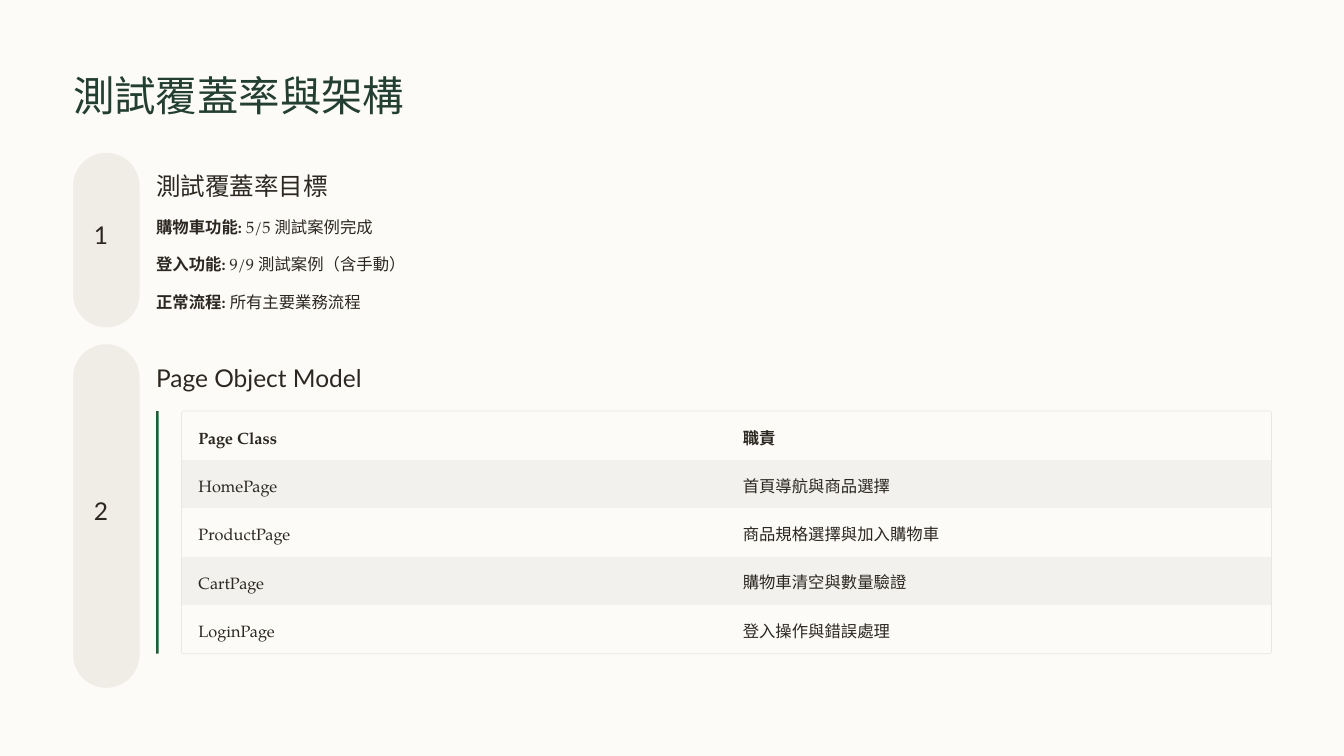
from dataclasses import dataclass

from pptx import Presentation
from pptx.dml.color import RGBColor
from pptx.enum.shapes import MSO_SHAPE
from pptx.enum.text import MSO_ANCHOR, MSO_AUTO_SIZE, PP_ALIGN
from pptx.shapes.autoshape import Shape
from pptx.slide import Slide
from pptx.text.text import TextFrame, _Paragraph
from pptx.util import Cm, Pt

RECTANGLE, ROUNDED = MSO_SHAPE.RECTANGLE, MSO_SHAPE.ROUNDED_RECTANGLE
TOP, LEFT, NO_AUTOFIT = MSO_ANCHOR.TOP, PP_ALIGN.LEFT, MSO_AUTO_SIZE.NONE
TITLE_ONLY = 5
NO_STYLE_NO_GRID = "{2D5ABB26-0587-4C30-8999-92F81FD0307C}"


@dataclass(frozen=True)
class TextStyle:
    font: str
    size: float
    line: float
    color: str


@dataclass(frozen=True)
class Theme:
    background: str = "FCFBF8"
    pill: str = "F0EDE6"
    accent: str = "1B5F39"
    stripe: str = "F2F1EE"
    frame: str = "E8E7E4"
    title: TextStyle = TextStyle("Lato", 35.5, 44.5, "233E32")
    heading: TextStyle = TextStyle("Lato", 21, 26.5, "2C2821")
    number: TextStyle = TextStyle("Lato", 21, 21, "2C2821")
    body: TextStyle = TextStyle("TeX Gyre Pagella", 14, 22.5, "2C2821")


@dataclass(frozen=True)
class Box:
    """Left, top, width and height in centimetres."""
    left: float
    top: float
    width: float
    height: float

    def emu(self) -> tuple[Cm, Cm, Cm, Cm]:
        return Cm(self.left), Cm(self.top), Cm(self.width), Cm(self.height)


@dataclass(frozen=True)
class Section:
    heading: str
    top: float
    height: float


@dataclass(frozen=True)
class Goal:
    label: str
    result: str


THEME = Theme()
PILL_LEFT, PILL_WIDTH = 2.21, 2.01
CONTENT_LEFT = 4.72
GOALS_TOP, GOAL_STEP = 6.38, 1.12
TABLE_LEFT, TABLE_TOP = 5.51, 12.45
COLUMN_WIDTH, ROW_HEIGHT = 16.46, 1.46
FRAME_GAP = 0.02

SECTIONS = [
    Section("測試覆蓋率目標", 4.62, 5.28),
    Section("Page Object Model", 10.41, 10.39),
]
GOALS = [
    Goal("購物車功能:", " 5/5 測試案例完成"),
    Goal("登入功能:", " 9/9 測試案例（含手動）"),
    Goal("正常流程:", " 所有主要業務流程"),
]
PAGE_CLASSES = [
    ("Page Class", "職責"),
    ("HomePage", "首頁導航與商品選擇"),
    ("ProductPage", "商品規格選擇與加入購物車"),
    ("CartPage", "購物車清空與數量驗證"),
    ("LoginPage", "登入操作與錯誤處理"),
]


def add_run(paragraph: _Paragraph, text: str, style: TextStyle, bold: bool = False) -> None:
    run = paragraph.add_run()
    run.text = text
    formats = {"name": style.font, "size": Pt(style.size), "bold": bold}
    for attribute, value in formats.items():
        setattr(run.font, attribute, value)
    run.font.color.rgb = RGBColor.from_string(style.color)


def first_line(frame: TextFrame, style: TextStyle) -> _Paragraph:
    """Prepare a margin-free frame and return its only paragraph."""
    formats = {
        "margin_left": 0, "margin_top": 0, "margin_right": 0, "margin_bottom": 0,
        "word_wrap": False, "auto_size": NO_AUTOFIT, "vertical_anchor": TOP,
    }
    for attribute, value in formats.items():
        setattr(frame, attribute, value)
    paragraph = frame.paragraphs[0]
    paragraph.alignment = LEFT
    paragraph.line_spacing = Pt(style.line)
    return paragraph


def add_line(slide: Slide, box: Box, style: TextStyle) -> _Paragraph:
    return first_line(slide.shapes.add_textbox(*box.emu()).text_frame, style)


def add_panel(slide: Slide, box: Box, color: str, preset: MSO_SHAPE = RECTANGLE) -> Shape:
    panel = slide.shapes.add_shape(preset, *box.emu())
    panel.shadow.inherit = False
    panel.fill.solid()
    panel.fill.fore_color.rgb = RGBColor.from_string(color)
    panel.line.fill.background()
    return panel


def add_title(slide: Slide, text: str) -> None:
    title = slide.shapes.title
    title.left, title.top, title.width, title.height = Box(PILL_LEFT, 2.06, 12.6, 1.57).emu()
    add_run(first_line(title.text_frame, THEME.title), text, THEME.title)


def add_section(slide: Slide, number: int, section: Section) -> None:
    pill_box = Box(PILL_LEFT, section.top, PILL_WIDTH, section.height)
    add_panel(slide, pill_box, THEME.pill, ROUNDED).adjustments[0] = 0.5
    number_height = 0.94
    number_top = section.top + (section.height - number_height) / 2
    number_box = Box(PILL_LEFT + 0.63, number_top, 0.76, number_height)
    add_run(add_line(slide, number_box, THEME.number), str(number), THEME.number)
    heading_box = Box(CONTENT_LEFT, section.top + 0.51, 7.57, 0.94)
    add_run(add_line(slide, heading_box, THEME.heading), section.heading, THEME.heading)


def add_goals(slide: Slide) -> None:
    for index, goal in enumerate(GOALS):
        box = Box(CONTENT_LEFT, GOALS_TOP + index * GOAL_STEP, 33.71, 0.81)
        paragraph = add_line(slide, box, THEME.body)
        add_run(paragraph, goal.label, THEME.body, bold=True)
        add_run(paragraph, goal.result, THEME.body)


def add_page_classes(slide: Slide) -> None:
    """Add the framed table with the accent bar on its left."""
    width, height = 2 * COLUMN_WIDTH, len(PAGE_CLASSES) * ROW_HEIGHT
    frame_top, frame_height = TABLE_TOP - FRAME_GAP, height + 2 * FRAME_GAP
    frame_box = Box(TABLE_LEFT - FRAME_GAP, frame_top, width + 2 * FRAME_GAP, frame_height)
    frame = add_panel(slide, frame_box, THEME.background, ROUNDED)
    frame.adjustments[0] = 0.01
    frame.line.color.rgb = RGBColor.from_string(THEME.frame)
    frame.line.width = Pt(0.6)
    add_panel(slide, Box(CONTENT_LEFT, frame_top, 0.08, frame_height), THEME.accent)

    table_box = Box(TABLE_LEFT, TABLE_TOP, width, height)
    table = slide.shapes.add_table(len(PAGE_CLASSES), 2, *table_box.emu()).table
    table.first_row = table.horz_banding = False
    table._tbl.tblPr[0].text = NO_STYLE_NO_GRID
    margins = {
        "margin_left": Cm(0.49), "margin_right": Cm(0.49),
        "margin_top": Cm(0.33), "margin_bottom": Cm(0.3), "vertical_anchor": TOP,
    }
    for row, texts in enumerate(PAGE_CLASSES):
        for column, text in enumerate(texts):
            cell = table.cell(row, column)
            for attribute, value in margins.items():
                setattr(cell, attribute, value)
            cell.fill.solid()
            fill = THEME.stripe if row % 2 else THEME.background
            cell.fill.fore_color.rgb = RGBColor.from_string(fill)
            paragraph = cell.text_frame.paragraphs[0]
            paragraph.line_spacing = Pt(THEME.body.line)
            add_run(paragraph, text, THEME.body, bold=row == 0)


def main() -> None:
    presentation = Presentation()
    presentation.slide_width, presentation.slide_height = Cm(40.64), Cm(22.86)
    slide = presentation.slides.add_slide(presentation.slide_layouts[TITLE_ONLY])
    slide.background.fill.solid()
    slide.background.fill.fore_color.rgb = RGBColor.from_string(THEME.background)
    add_title(slide, "測試覆蓋率與架構")
    for number, section in enumerate(SECTIONS, start=1):
        add_section(slide, number, section)
    add_goals(slide)
    add_page_classes(slide)
    presentation.save("out.pptx")


if __name__ == "__main__":
    main()
